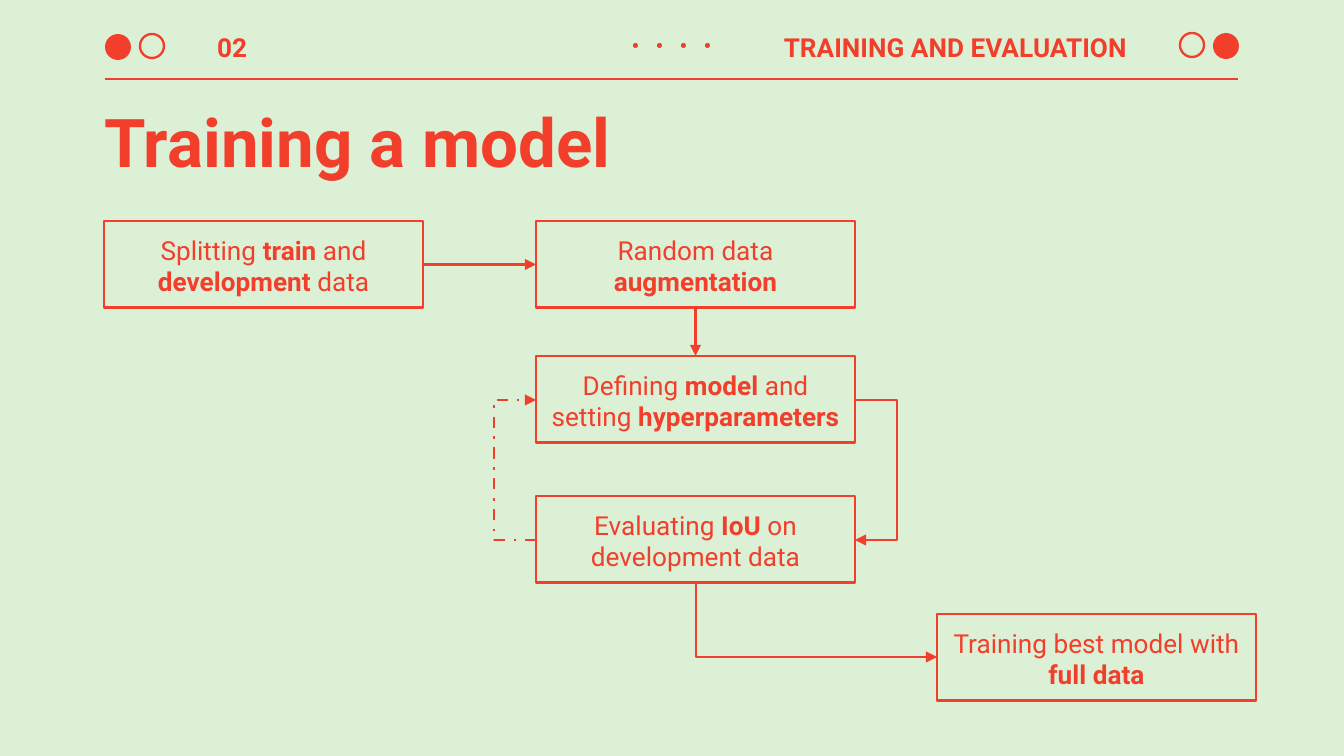
from lxml import etree
from pptx import Presentation
from pptx import util as u
from pptx.dml.color import RGBColor
from pptx.enum import dml, shapes, text
from pptx.oxml.ns import qn

HUES = {"red": "F13F2C", "mint": "DCF0D6"}
FONT = "Roboto"
PX = 914400 / 134.4


def emu(*sizes):
    return [u.Emu(round(size * PX)) for size in sizes]


def hue(name):
    return RGBColor.from_string(HUES[name])


class Deck:
    def __init__(self, wide, high):
        self.prs = Presentation()
        self.prs.slide_width, self.prs.slide_height = emu(wide, high)
        self.slide = self.prs.slides.add_slide(self.prs.slide_layouts[5])
        self.items = self.slide.shapes
        back = self.slide.background.fill
        back.solid()
        back.fore_color.rgb = hue("mint")

    def put(self, frame, runs, size, align, anchor):
        frame.word_wrap = True
        frame.auto_size = text.MSO_AUTO_SIZE.NONE
        frame.vertical_anchor = anchor
        frame.margin_left = frame.margin_right = u.Inches(0.1)
        frame.margin_top = frame.margin_bottom = u.Inches(0.1)
        para = frame.paragraphs[0]
        para.alignment = align
        for words, bold in runs:
            run = para.add_run()
            run.text = words
            run.font.name = FONT
            run.font.size = u.Pt(size)
            run.font.bold = bold
            run.font.color.rgb = hue("red")

    def title(self, words, *place):
        item = self.items.title
        item.left, item.top, item.width, item.height = emu(*place)
        self.put(item.text_frame, [(words, True)], 36,
                 text.PP_ALIGN.LEFT, text.MSO_ANCHOR.TOP)

    def label(self, words, align, *place):
        item = self.items.add_textbox(*emu(*place))
        self.put(item.text_frame, [(words, True)], 14, align,
                 text.MSO_ANCHOR.MIDDLE)

    def stroke(self, item, width, arrow=False):
        item.line.color.rgb = hue("red")
        item.line.width = u.Pt(width)
        if arrow:
            line = item._element.spPr.find(qn("a:ln"))
            etree.SubElement(line, qn("a:tailEnd"), type="triangle")

    def circle(self, x, y, size, full=True):
        item = self.items.add_shape(shapes.MSO_SHAPE.OVAL, *emu(x, y, size, size))
        item.shadow.inherit = False
        if full:
            item.fill.solid()
            item.fill.fore_color.rgb = hue("red")
            item.line.fill.background()
        else:
            item.fill.background()
            self.stroke(item, 1.25)

    def box(self, x, y, runs):
        item = self.items.add_shape(shapes.MSO_SHAPE.RECTANGLE, *emu(x, y, 319, 87))
        item.shadow.inherit = False
        item.fill.background()
        self.stroke(item, 1.5)
        self.put(item.text_frame, runs, 14, text.PP_ALIGN.CENTER,
                 text.MSO_ANCHOR.TOP)
        return item

    def line(self, start, end, width, arrow=False):
        item = self.items.add_connector(shapes.MSO_CONNECTOR.STRAIGHT,
                                        *emu(*start, *end))
        etree.SubElement(item._element.spPr, qn("a:effectLst"))
        self.stroke(item, width, arrow)
        return item

    def link(self, first, out, last, into):
        item = self.line((0, 0), (1, 1), 1.5, arrow=True)
        item.begin_connect(first, out)
        item.end_connect(last, into)

    def route(self, points, dash=None):
        bend = self.items.build_freeform(*points[0], scale=PX)
        bend.add_line_segments(points[1:], close=False)
        item = bend.convert_to_shape()
        item.shadow.inherit = False
        item.fill.background()
        if dash:
            item.line.dash_style = dash
        self.stroke(item, 1.5, arrow=True)


def main():
    deck = Deck(1344, 756)
    deck.line((105, 79), (1238, 79), 0.75)
    deck.label("02", text.PP_ALIGN.LEFT, 204, 22, 145, 50)
    deck.label("TRAINING AND EVALUATION", text.PP_ALIGN.RIGHT, 752, 22, 388, 50)
    for step in range(4):
        deck.circle(633 + 24 * step, 43, 5)
    deck.circle(105, 34, 26)
    deck.circle(140, 34, 24, full=False)
    deck.circle(1180, 33, 24, full=False)
    deck.circle(1213, 33, 26)
    deck.title("Training a model", 91, 87, 1148, 95)

    split = deck.box(104, 221, [("Splitting ", False), ("train", True),
                                (" and ", False), ("development", True),
                                (" data", False)])
    augment = deck.box(536, 221, [("Random data ", False), ("augmentation", True)])
    define = deck.box(536, 356, [("Defining ", False), ("model", True),
                                 (" and setting ", False),
                                 ("hyperparameters", True)])
    deck.box(536, 496, [("Evaluating ", False), ("IoU ", True),
                        ("on development data", False)])
    deck.box(937, 614, [("Training best model with ", False), ("full data", True)])

    deck.link(split, 3, augment, 1)
    deck.link(augment, 2, define, 0)
    deck.route([(855, 400), (897, 400), (897, 540), (855, 540)])
    deck.route([(536, 540), (494, 540), (494, 400), (536, 400)],
               dml.MSO_LINE.DASH_DOT)
    deck.route([(696, 583), (696, 657), (937, 657)])
    deck.prs.save("out.pptx")


if __name__ == "__main__":
    main()
